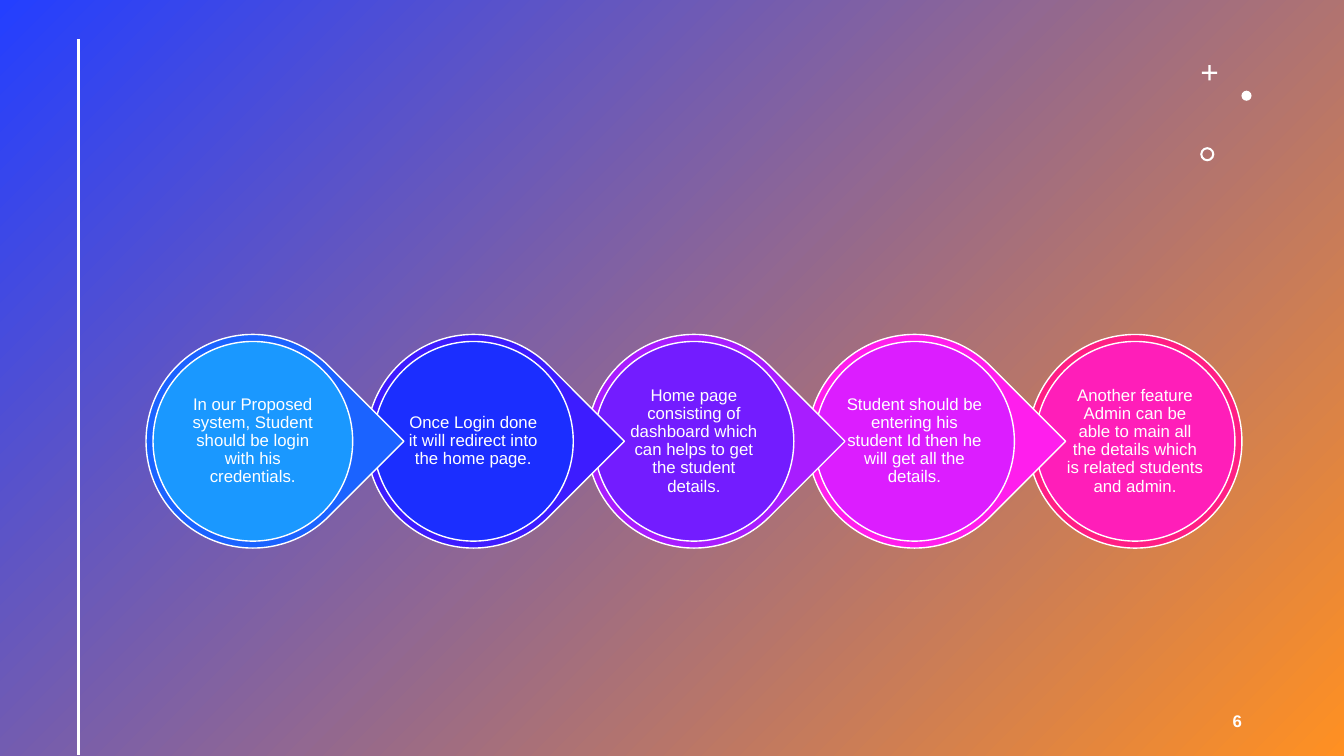
from dataclasses import dataclass

from lxml import etree
from pptx import Presentation
from pptx.dml.color import RGBColor
from pptx.enum import shapes, text
from pptx.oxml import ns
from pptx.util import Pt

SHAPE = shapes.MSO_SHAPE
WIDTH, HEIGHT = 960, 540


@dataclass(frozen=True)
class Theme:
    font: str = "Arial"
    size: float = 12
    white: str = "FFFFFF"
    gradient: tuple = ("243FFF", "FF9022")
    outline: float = 1
    rule: float = 2


class Canvas:
    """Draws on one slide in one theme; all lengths are in points."""

    def __init__(self, slide, theme):
        self.slide, self.theme = slide, theme

    def shape(self, kind, x, y, w, h, fill=None, outlined=False, rotation=0, adjust=None):
        sp = self.slide.shapes.add_shape(kind, Pt(x), Pt(y), Pt(w), Pt(h))
        sp.shadow.inherit = False
        sp.rotation = rotation
        if adjust is not None:
            sp.adjustments[0] = adjust
        if fill:
            sp.fill.solid()
            sp.fill.fore_color.rgb = RGBColor.from_string(fill)
        if outlined:
            sp.line.color.rgb = RGBColor.from_string(self.theme.white)
            sp.line.width = Pt(self.theme.outline)
        else:
            sp.line.fill.background()
        return sp

    def centred(self, kind, cx, cy, size, fill, **options):
        return self.shape(kind, cx - size / 2, cy - size / 2, size, size, fill, **options)

    def backdrop(self):
        """Cover the slide with a gradient from top left to bottom right."""
        fill = self.shape(SHAPE.RECTANGLE, 0, 0, WIDTH, HEIGHT).fill
        fill.gradient()
        fill.gradient_angle = 315
        for position, (stop, color) in enumerate(zip(fill.gradient_stops, self.theme.gradient)):
            stop.position = position
            stop.color.rgb = RGBColor.from_string(color)

    def rule(self, x1, y1, x2, y2):
        line = self.slide.shapes.add_connector(
            shapes.MSO_CONNECTOR.STRAIGHT, Pt(x1), Pt(y1), Pt(x2), Pt(y2))
        line.line.color.rgb = RGBColor.from_string(self.theme.white)
        line.line.width = Pt(self.theme.rule)
        etree.SubElement(line._element.spPr, ns.qn("a:effectLst"))

    def text(self, words, x, y, w, h, align=text.PP_ALIGN.CENTER, bold=False,
             inset=None, spacing=None):
        tf = self.slide.shapes.add_textbox(Pt(x), Pt(y), Pt(w), Pt(h)).text_frame
        tf.word_wrap = True
        tf.vertical_anchor = text.MSO_ANCHOR.MIDDLE
        if inset is not None:
            tf.margin_left = tf.margin_right = tf.margin_top = tf.margin_bottom = Pt(inset)
        p = tf.paragraphs[0]
        p.alignment = align
        p.line_spacing = spacing
        r = p.add_run()
        r.text = words
        r.font.name, r.font.size, r.font.bold = self.theme.font, Pt(self.theme.size), bold
        r.font.color.rgb = RGBColor.from_string(self.theme.white)

    def step(self, cx, cy, words, ring, disc, last):
        """Draw a ringed disc, pointing right unless it is the last one."""
        if last:
            self.centred(SHAPE.OVAL, cx, cy, 152.6, ring, outlined=True)
        else:
            self.centred(SHAPE.TEAR, cx, cy, 152.6, ring, outlined=True, rotation=45, adjust=1)
        self.centred(SHAPE.OVAL, cx, cy, 142.6, disc, outlined=True)
        side = 101.6
        self.text(words, cx - side / 2, cy - side / 2, side, side, inset=1.2, spacing=0.9)


STEPS = [
    ("In our Proposed system, Student should be login with his credentials.",
     "1B63FF", "1A98FF"),
    ("Once Login done it will redirect into the home page.",
     "3D1CFF", "1B2EFF"),
    ("Home page consisting of dashboard which can helps to get the student details.",
     "A81DFF", "731CFF"),
    ("Student should be entering his student Id then he will get all the details.",
     "FF1EED", "DC1DFF"),
    ("Another feature Admin can be able to main all the details which is related "
     "students and admin.",
     "FF1F85", "FF1EB9"),
]
FIRST_X, STEP_Y, PITCH = 180.6, 315.2, 157.55


def main():
    prs = Presentation()
    prs.slide_width, prs.slide_height = Pt(WIDTH), Pt(HEIGHT)
    blank = prs.slide_layouts[6]
    theme = Theme()
    s = Canvas(prs.slides.add_slide(blank), theme)

    s.backdrop()
    s.rule(56.2, 27.8, 56.2, 539.5)
    s.centred(SHAPE.CROSS, 864, 52, 11, theme.white, adjust=0.43)
    s.centred(SHAPE.OVAL, 890.4, 68.4, 7.2, theme.white)
    s.centred(SHAPE.DONUT, 862.4, 110.2, 10.1, theme.white, adjust=0.15)
    s.text("6", 678.2, 500.4, 216, 28.8, align=text.PP_ALIGN.RIGHT, bold=True)

    # Right to left, so that each point overlaps the next disc
    last = len(STEPS) - 1
    for i, (words, ring, disc) in reversed(list(enumerate(STEPS))):
        s.step(FIRST_X + i * PITCH, STEP_Y, words, ring, disc, last=i == last)

    prs.save("out.pptx")


if __name__ == "__main__":
    main()
